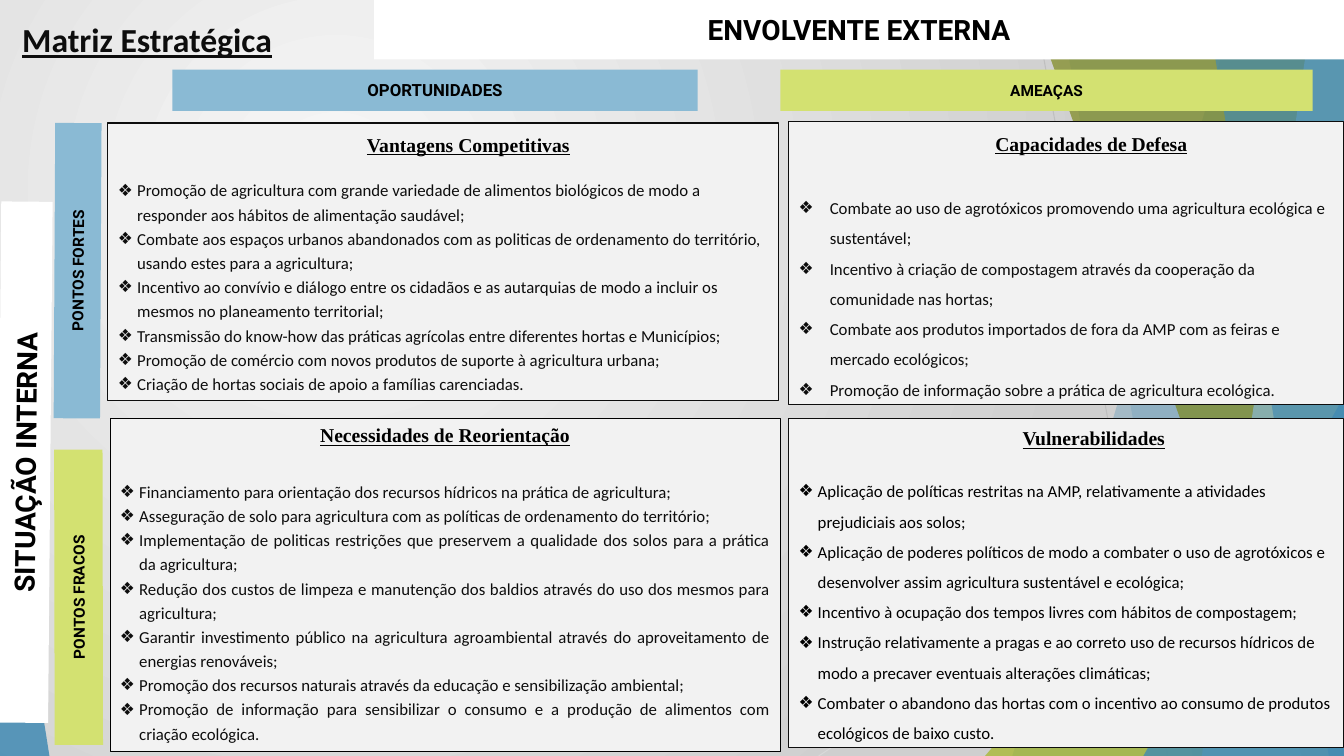
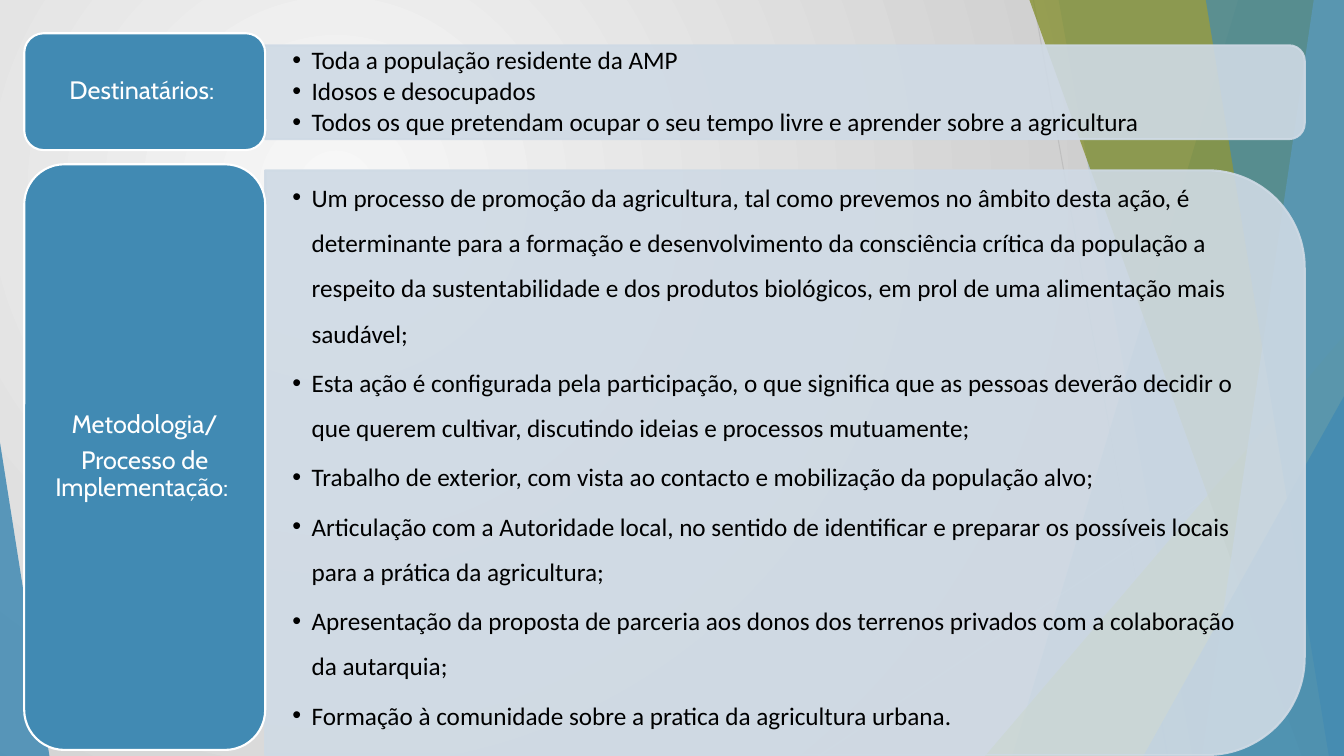
import pptx
import pptx.util
import pptx.dml.color
import pptx.enum.shapes
import pptx.enum.text
import pptx.oxml
import pptx.oxml.ns
import pptx.presentation
import pptx.shapes.autoshape
import pptx.shapes.base
import pptx.slide
import pptx.text.text
from dataclasses import dataclass
from typing import NamedTuple, Optional

Inches = pptx.util.Inches
Pt = pptx.util.Pt
Kind = pptx.enum.shapes.MSO_SHAPE
Align = pptx.enum.text.PP_ALIGN
Anchor = pptx.enum.text.MSO_ANCHOR
qn = pptx.oxml.ns.qn
Shape = pptx.shapes.autoshape.Shape
Slide = pptx.slide.Slide

# Colours
BLUE, SKY, PALE = "418AB3", "8ABAD4", "CFDAE5"
OLIVE, GREEN, LIME = "7D891D", "A6B727", "D3E171"
BLACK, INK, GREY, WHITE = "000000", "0D0D0D", "F2F2F2", "FFFFFF"
WIDE, HIGH = 13.33, 7.5


class Box(NamedTuple):
    left: float
    top: float
    width: float
    height: float


class Edge(NamedTuple):
    hue: str
    width: float


class Face(NamedTuple):
    name: str
    size: float
    hue: str = BLACK
    bold: bool = False
    under: bool = False


@dataclass
class Shard:
    points: list[tuple[float, float]]
    hue: str
    alpha: int


@dataclass
class Wedge:
    box: Box
    peak: float
    hue: str
    alpha: int


@dataclass
class Bar:
    text: str
    box: Box
    hue: str
    size: float
    angle: float = 0


@dataclass
class Panel:
    slot: int
    box: Box
    head: str
    shift: float
    inset: float
    gap: float
    space: float
    items: list[str]
    hang: float = 0.19
    ink: str = INK
    edge: Edge = Edge(INK, 0.75)
    align: Align = Align.LEFT


@dataclass
class Row:
    slot: int
    label: list[str]
    tab: Box
    band: Box
    body: Box
    space: float
    items: list[str]


SHARDS = [
    Shard([(12.28, 0), (WIDE, 0), (WIDE, HIGH), (10.04, HIGH)], BLUE, 30),
    Shard([(10.5, 0), (WIDE, 0), (WIDE, HIGH), (11.83, HIGH)], BLUE, 20),
    Wedge(Box(9.77, 3.33, 3.56, 4.17), 1, GREEN, 72),
    Shard([(10.21, 0), (WIDE, 0), (WIDE, HIGH), (12.91, HIGH)], OLIVE, 70),
    Shard([(13.03, 0), (WIDE, 0), (WIDE, HIGH), (11.92, HIGH)], SKY, 70),
    Shard([(11.96, 0), (WIDE, 0), (WIDE, HIGH), (13.18, HIGH)], BLUE, 65),
    Wedge(Box(11.34, 3.93, 1.99, 3.57), 1, BLUE, 80),
    Wedge(Box(0, 4.39, 0.49, 3.11), 0, BLUE, 85),
]

BARS = [
    Bar("AMEAÇAS", Box(7.74, 0.69, 5.28, 0.41), LIME, 11),
    Bar("OPORTUNIDADES", Box(1.71, 0.69, 5.21, 0.41), SKY, 12),
    Bar("PONTOS FORTES", Box(0.54, 1.22, 0.46, 2.93), SKY, 11, 270.3),
    Bar("PONTOS FRACOS", Box(0.54, 4.46, 0.48, 2.93), LIME, 11, 269.9),
    Bar("ENVOLVENTE EXTERNA", Box(3.71, 0, 9.62, 0.59), WHITE, 20),
    Bar("SITUAÇÃO INTERNA", Box(-0.01, 2, 0.51, 5.17), WHITE, 20, 270.5),
]

PANELS = [
    Panel(1, Box(1.07, 1.22, 6.65, 2.75), "Vantagens Competitivas", 0.5, 0.1, 14, 1.2, [
        "Promoção de agricultura com grande variedade de alimentos biológicos de modo a responder aos hábitos de alimentação saudável;",
        "Combate aos espaços urbanos abandonados com as politicas de ordenamento do território, usando estes para a agricultura;",
        "Incentivo ao convívio e diálogo entre os cidadãos e as autarquias de modo a incluir os mesmos no planeamento territorial;",
        "Transmissão do know-how das práticas agrícolas entre diferentes hortas e Municípios;",
        "Promoção de comércio com novos produtos de suporte à agricultura urbana;",
        "Criação de hortas sociais de apoio a famílias carenciadas.",
    ]),
    Panel(2, Box(7.82, 1.21, 5.51, 2.8), "Capacidades de Defesa", 0.5, 0.1, 23, 1.5, [
        "Combate ao uso de agrotóxicos promovendo uma agricultura ecológica e sustentável;",
        "Incentivo à criação de compostagem através da cooperação da comunidade nas hortas;",
        "Combate aos produtos importados de fora da AMP com as feiras e mercado ecológicos;",
        "Promoção de informação sobre a prática de agricultura ecológica.",
    ], hang=0.31),
    Panel(3, Box(1.09, 4.15, 6.65, 3.3), "Necessidades de Reorientação", 0, 0.05, 22, 1.2, [
        "Financiamento para orientação dos recursos hídricos na prática de agricultura;",
        "Asseguração de solo para agricultura com as políticas de ordenamento do território;",
        "Implementação de politicas restrições que preservem a qualidade dos solos para a prática da agricultura;",
        "Redução dos custos de limpeza e manutenção dos baldios através do uso dos mesmos para agricultura;",
        "Garantir investimento público na agricultura agroambiental através do aproveitamento de energias renováveis;",
        "Promoção dos recursos naturais através da educação e sensibilização ambiental;",
        "Promoção de informação para sensibilizar o consumo e a produção de alimentos com criação ecológica.",
    ], edge=Edge(BLACK, 0.25), align=Align.JUSTIFY),
    Panel(4, Box(7.82, 4.15, 5.51, 3.27), "Vulnerabilidades", 0.55, 0.08, 15, 1.5, [
        "Aplicação de políticas restritas na AMP, relativamente a atividades prejudiciais aos solos;",
        "Aplicação de poderes políticos de modo a combater o uso de agrotóxicos e desenvolver assim agricultura sustentável e ecológica;",
        "Incentivo à ocupação dos tempos livres com hábitos de compostagem;",
        "Instrução relativamente a pragas e ao correto uso de recursos hídricos de modo a precaver eventuais alterações climáticas;",
        "Combater o abandono das hortas com o incentivo ao consumo de produtos ecológicos de baixo custo.",
    ], ink=BLACK),
]

ROWS = [
    Row(1, ["Destinatários: "], Box(0.24, 0.33, 2.39, 1.16),
        Box(2.63, 0.45, 10.31, 0.93), Box(2.63, 0.5, 10.27, 0.84), 0.9, [
        "Toda a população residente da AMP",
        "Idosos e desocupados",
        "Todos os que pretendam ocupar o seu tempo livre e aprender sobre a agricultura",
    ]),
    Row(2, ["Metodologia/", "Processo de Implementação: "], Box(0.24, 1.63, 2.39, 5.81),
        Box(2.63, 1.69, 10.31, 5.8), Box(2.63, 1.5, 10.03, 5.9), 1.5, [
        "Um processo de promoção da agricultura, tal como prevemos no âmbito desta ação, é determinante para a formação e desenvolvimento da consciência crítica da população a respeito da sustentabilidade e dos produtos biológicos, em prol de uma alimentação mais saudável;",
        "Esta ação é configurada pela participação, o que significa que as pessoas deverão decidir o que querem cultivar, discutindo ideias e processos mutuamente;",
        "Trabalho de exterior, com vista ao contacto e mobilização da população alvo;",
        "Articulação com a Autoridade local, no sentido de identificar e preparar os possíveis locais para a prática da agricultura;",
        "Apresentação da proposta de parceria aos donos dos terrenos privados com a colaboração da autarquia;",
        "Formação à comunidade sobre a pratica da agricultura urbana.",
    ]),
]


def tint(hue: str) -> pptx.dml.color.RGBColor:
    return pptx.dml.color.RGBColor.from_string(hue)


def place(shape: pptx.shapes.base.BaseShape, box: Box) -> None:
    shape.left, shape.top, shape.width, shape.height = map(Inches, box)


def paint(shape: Shape, hue: str, edge: Optional[Edge] = None, alpha: int = 100) -> None:
    shape.shadow.inherit = False
    shape.fill.solid()
    shape.fill.fore_color.rgb = tint(hue)
    if edge:
        shape.line.color.rgb = tint(edge.hue)
        shape.line.width = Pt(edge.width)
    else:
        shape.line.fill.background()
    if alpha < 100:
        for node in shape.element.spPr.iter(qn("a:srgbClr")):
            pptx.oxml.ns  # namespace of the alpha node
            node.append(node.makeelement(qn("a:alpha"), {"val": str(alpha * 1000)}))


def draw(slide: Slide, kind: Kind, box: Box, angle: float = 0) -> Shape:
    """Draw a shape that fills the box after a quarter turn, if any."""
    if angle:
        left, top, width, height = box
        slip = (width - height) / 2
        box = Box(left + slip, top - slip, height, width)
    shape = slide.shapes.add_shape(kind, *map(Inches, box))
    shape.rotation = angle
    return shape


def frame(shape: Shape, anchor: Anchor, across: float, down: float) -> pptx.text.text.TextFrame:
    text = shape.text_frame
    text.word_wrap = True
    text.auto_size = pptx.enum.text.MSO_AUTO_SIZE.NONE
    text.vertical_anchor = anchor
    text.margin_left = text.margin_right = Inches(across)
    text.margin_top = text.margin_bottom = Inches(down)
    return text


def write(text: pptx.text.text.TextFrame, line: str, face: Face, align: Align,
          space: float = 1, after: float = 0, indent: float = 0, mark: str = "") -> None:
    first = text.paragraphs[0]
    par = text.add_paragraph() if first.runs else first
    par.add_run().text = line
    par.alignment = align
    par.line_spacing = space
    par.space_before, par.space_after = Pt(0), Pt(after)
    # Indent and bullet
    props = par._p.get_or_add_pPr()
    props.set("marL", str(Inches(indent)))
    props.set("indent", str(-Inches(indent) if mark else 0))
    if mark:
        props.append(props.makeelement(qn("a:buChar"), {"char": mark}))
    else:
        props.append(props.makeelement(qn("a:buNone"), {}))
    font = par.font
    font.name, font.size = face.name, Pt(face.size)
    font.bold, font.underline = face.bold, face.under
    font.color.rgb = tint(face.hue)


def dress(deck: pptx.presentation.Presentation, slide: Slide) -> None:
    """Give the master its background and art, drawn by way of a slide."""
    master = deck.slide_master
    fill = master.background.fill
    fill.gradient()
    for stop, hue in zip(fill.gradient_stops, ("F7F7F7", "CFCFCF")):
        stop.color.rgb = tint(hue)
    grad = next(master.element.iter(qn("a:gradFill")))
    grad.replace(grad.find(qn("a:lin")), pptx.oxml.parse_xml(
        f'<a:path {pptx.oxml.ns.nsdecls("a")} path="circle">'
        '<a:fillToRect l="50000" t="50000" r="100000" b="100000"/></a:path>'))
    art = []
    for ends, hue in (((10.25, 0, 11.58, HIGH), "BFBFBF"), ((WIDE, 4.03, 8.12, HIGH), "D9D9D9")):
        line = slide.shapes.add_connector(
            pptx.enum.shapes.MSO_CONNECTOR.STRAIGHT, *map(Inches, ends))
        line.line.color.rgb = tint(hue)
        line.line.width = Pt(0.75)
        props = line.element.spPr
        props.append(props.makeelement(qn("a:effectLst"), {}))
        art.append(line)
    for part in SHARDS:
        if isinstance(part, Wedge):
            shape = draw(slide, Kind.ISOSCELES_TRIANGLE, part.box)
            shape.adjustments[0] = part.peak
        else:
            start, *rest = [(Inches(x), Inches(y)) for x, y in part.points]
            pen = slide.shapes.build_freeform(*start)
            pen.add_line_segments(rest)
            shape = pen.convert_to_shape()
        paint(shape, part.hue, alpha=part.alpha)
        art.append(shape)
    for spot, shape in enumerate(art, 2):
        master.shapes.element.insert(spot, shape.element)


def matrix(slide: Slide) -> None:
    title = slide.shapes.title
    place(title, Box(0.12, 0.12, 4.39, 0.54))
    write(frame(title, Anchor.MIDDLE, 0.1, 0.05), "Matriz Estratégica",
          Face("Calibri", 24, INK, True, True), Align.LEFT)
    for panel in PANELS:
        body = slide.placeholders[panel.slot]
        place(body, panel.box)
        paint(body, GREY, panel.edge)
        text = frame(body, Anchor.TOP, 0.1, panel.inset)
        write(text, panel.head, Face("Times New Roman", 14, BLACK, True, True),
              Align.CENTER, after=panel.gap, indent=panel.shift)
        for item in panel.items:
            write(text, item, Face("Calibri", 12, panel.ink), panel.align,
                  panel.space, indent=panel.hang, mark="❖")
    for bar in BARS:
        shape = draw(slide, Kind.RECTANGLE, bar.box, bar.angle)
        paint(shape, bar.hue)
        write(frame(shape, Anchor.MIDDLE, 0, 0), bar.text,
              Face("Roboto", bar.size, bold=True), Align.CENTER)


def method(slide: Slide) -> None:
    title = slide.shapes.title.element
    title.getparent().remove(title)
    for row in ROWS:
        band = draw(slide, Kind.ROUND_2_SAME_RECTANGLE, row.band, 90)
        paint(band, PALE, Edge(PALE, 1.5), 90)
        # The list lies on top of its band
        body = slide.placeholders[row.slot]
        place(body, row.body)
        slide.shapes.element.append(body.element)
        text = frame(body, Anchor.MIDDLE, 0.27, 0.14)
        for item in row.items:
            write(text, item, Face("Calibri", 18), Align.LEFT, row.space, 2.7, 0.19, "•")
        tab = draw(slide, Kind.ROUNDED_RECTANGLE, row.tab)
        paint(tab, BLUE, Edge(WHITE, 1.5))
        text = frame(tab, Anchor.MIDDLE, 0.07, 0.04)
        for line in row.label:
            write(text, line, Face("Cabin", 18, WHITE), Align.CENTER, 0.9, 6.3)


def main() -> None:
    deck = pptx.Presentation()
    deck.slide_width, deck.slide_height = Inches(WIDE), Inches(HIGH)
    first = deck.slides.add_slide(deck.slide_layouts.get_by_name("Comparison"))
    dress(deck, first)
    matrix(first)
    method(deck.slides.add_slide(deck.slide_layouts.get_by_name("Two Content")))
    deck.save("out.pptx")


if __name__ == "__main__":
    main()
